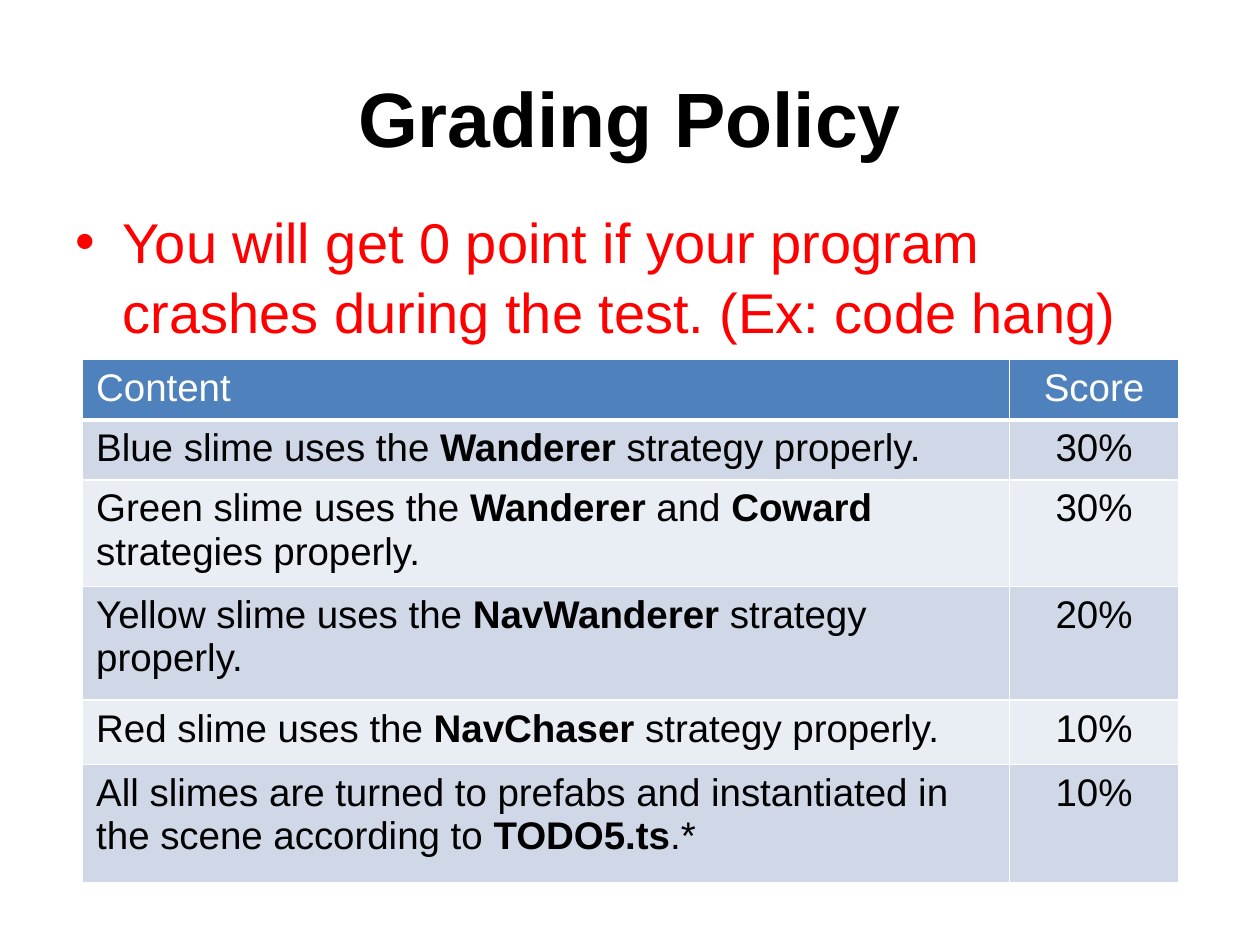
from lxml import etree
from pptx import Presentation
from pptx.dml.color import RGBColor
from pptx.enum.text import MSO_ANCHOR, PP_ALIGN
from pptx.oxml.ns import qn
from pptx.util import Pt

FONT = "Arial"
BLACK = RGBColor(0x00, 0x00, 0x00)
WHITE = RGBColor(0xFF, 0xFF, 0xFF)
RED = RGBColor(0xFF, 0x00, 0x00)
HEADER_BLUE = RGBColor(0x4F, 0x81, 0xBD)
BANDS = (RGBColor(0xD0, 0xD8, 0xE8), RGBColor(0xE9, 0xED, 0xF4))
LEFT, CENTER = PP_ALIGN.LEFT, PP_ALIGN.CENTER
TOP, MIDDLE = MSO_ANCHOR.TOP, MSO_ANCHOR.MIDDLE

# Asterisk pairs (**) enclose bold words
ROWS = [
    ("Content", "Score"),
    ("Blue slime uses the **Wanderer** strategy properly.", "30%"),
    ("Green slime uses the **Wanderer** and **Coward** strategies properly.", "30%"),
    ("Yellow slime uses the **NavWanderer** strategy properly.", "20%"),
    ("Red slime uses the **NavChaser** strategy properly.", "10%"),
    ("All slimes are turned to prefabs and instantiated in the scene "
     "according to **TODO5.ts**.*", "10%"),
]
COL_WIDTHS = (530, 96.4)
ROW_HEIGHTS = (33, 33, 58, 65, 36.6, 67.6)


def add_run(p, text, size, color, bold=False):
    r = p.add_run()
    r.text = text
    r.font.name, r.font.size, r.font.bold = FONT, Pt(size), bold
    r.font.color.rgb = color


def add_text(slide, box, text, size, color, bold=False, align=LEFT, anchor=TOP):
    tf = slide.shapes.add_textbox(*map(Pt, box)).text_frame
    tf.word_wrap = True
    tf.vertical_anchor = anchor
    p = tf.paragraphs[0]
    p.alignment = align
    add_run(p, text, size, color, bold)
    return p


def add_bullet(p, indent):
    pPr = p._p.get_or_add_pPr()
    pPr.set("marL", str(Pt(indent)))
    pPr.set("indent", str(Pt(-indent)))
    etree.SubElement(pPr, qn("a:buFont"), typeface=FONT)
    etree.SubElement(pPr, qn("a:buChar"), char="•")


def set_borders(cell, bottom):
    tcPr = cell._tc.get_or_add_tcPr()
    widths = {"a:lnL": 1, "a:lnR": 1, "a:lnT": 1, "a:lnB": bottom}
    for i, (tag, width) in enumerate(widths.items()):
        ln = etree.Element(qn(tag), w=str(Pt(width)))
        fill = etree.SubElement(ln, qn("a:solidFill"))
        etree.SubElement(fill, qn("a:srgbClr"), val=str(WHITE))
        tcPr.insert(i, ln)  # borders come before the fill


def fill_cell(cell, text, align, fill, color, bottom):
    cell.margin_left = cell.margin_right = Pt(8)
    cell.margin_top = cell.margin_bottom = Pt(4)
    cell.fill.solid()
    cell.fill.fore_color.rgb = fill
    set_borders(cell, bottom)
    p = cell.text_frame.paragraphs[0]
    p.alignment = align
    for i, part in enumerate(text.split("**")):
        add_run(p, part, 22, color, bold=i % 2 == 1)


def add_score_table(slide, left, top):
    frame = slide.shapes.add_table(len(ROWS), len(COL_WIDTHS), Pt(left), Pt(top),
                                   Pt(sum(COL_WIDTHS)), Pt(sum(ROW_HEIGHTS)))
    table = frame.table
    for col, width in zip(table.columns, COL_WIDTHS):
        col.width = Pt(width)
    for i, (row, height) in enumerate(zip(table.rows, ROW_HEIGHTS)):
        row.height = Pt(height)
        if i == 0:
            fill, color, bottom = HEADER_BLUE, WHITE, 3
        else:
            fill, color, bottom = BANDS[(i - 1) % 2], BLACK, 1
        for cell, text, align in zip(row.cells, ROWS[i], (LEFT, CENTER)):
            fill_cell(cell, text, align, fill, color, bottom)


def main():
    prs = Presentation()
    prs.slide_width, prs.slide_height = Pt(720), Pt(540)
    slide = prs.slides.add_slide(prs.slide_layouts[6])

    # Title
    add_text(slide, (36, 21.6, 648, 90), "Grading Policy", 44, BLACK,
             bold=True, align=CENTER, anchor=MIDDLE)

    # Warning
    p = add_text(slide, (36, 113, 648, 93),
                 "You will get 0 point if your program crashes during the test. "
                 "(Ex: code hang)", 32, RED)
    p.space_before = Pt(2)
    p.line_spacing = 1.05
    add_bullet(p, 27)

    # Scores
    add_score_table(slide, 47, 205.5)

    prs.save("out.pptx")


if __name__ == "__main__":
    main()
